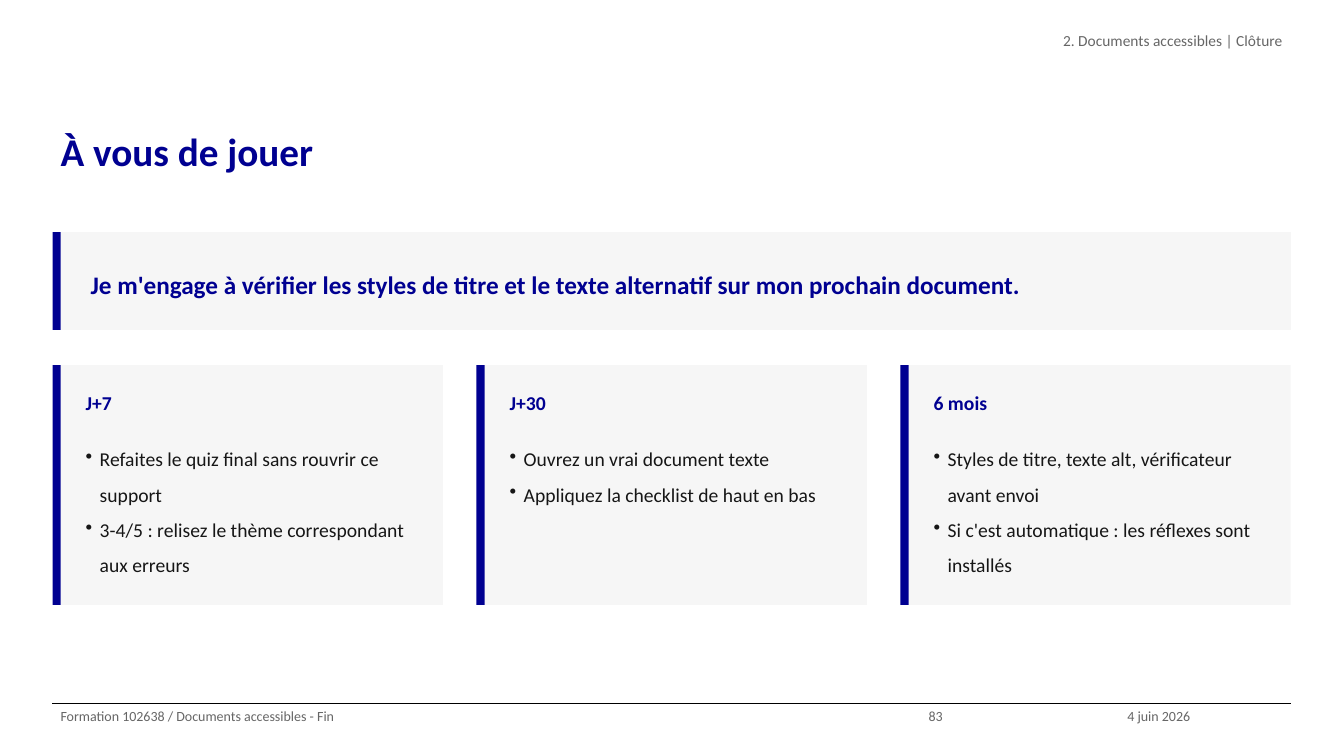
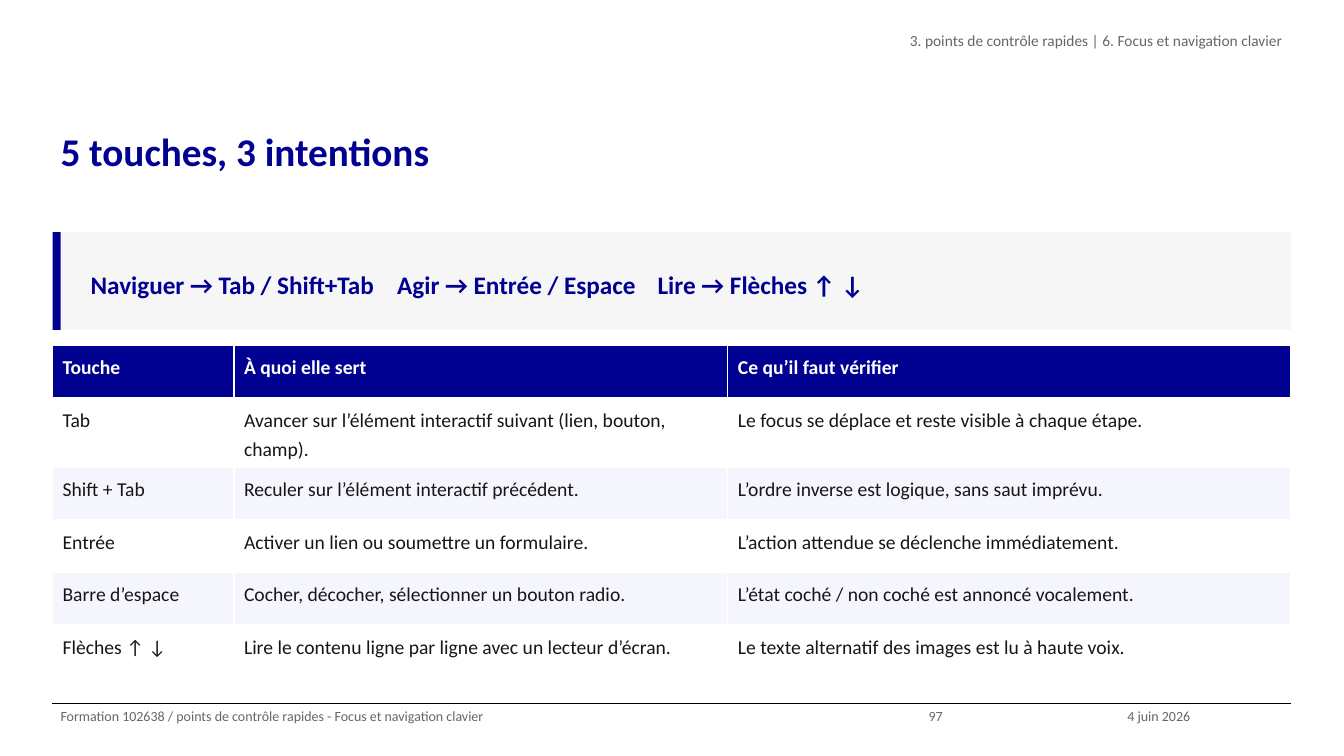
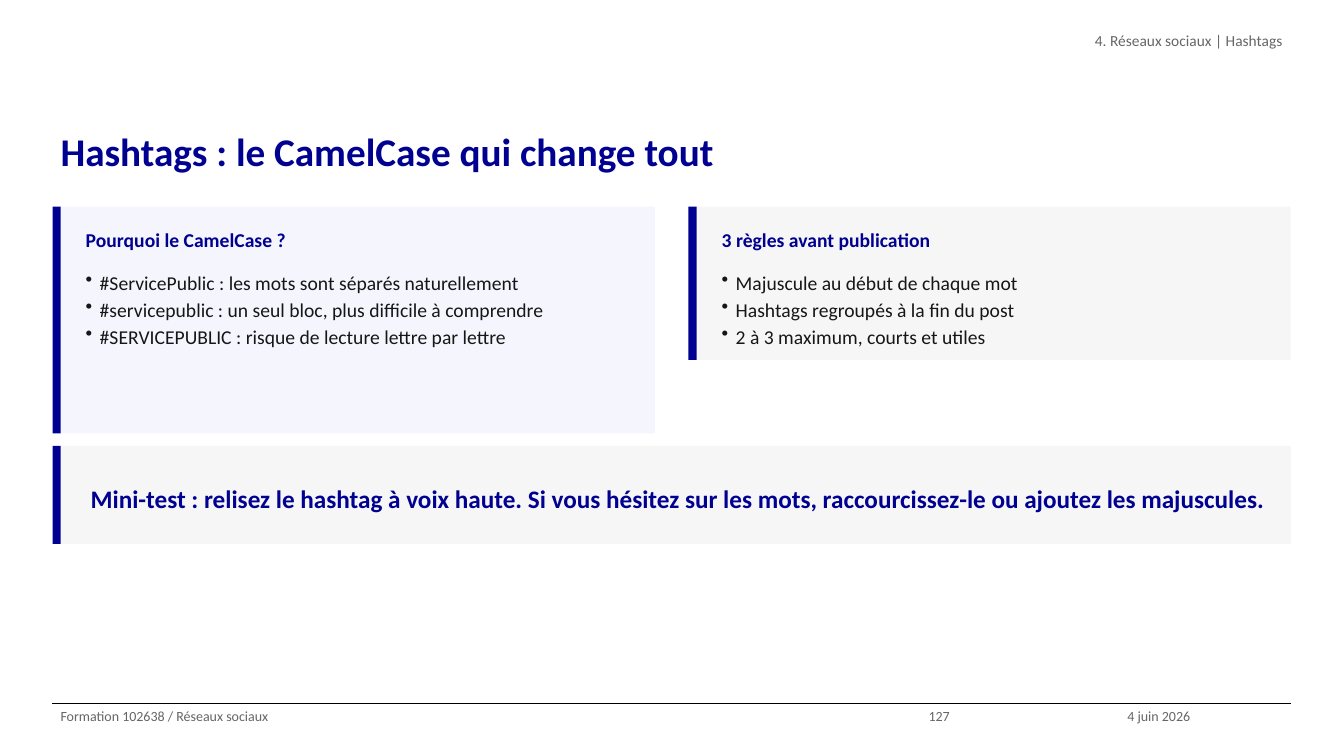
import dataclasses

import pptx
import pptx.dml.color
import pptx.enum.shapes
import pptx.enum.text
import pptx.oxml
import pptx.oxml.ns
import pptx.slide
import pptx.text.text
import pptx.util

RGBColor = pptx.dml.color.RGBColor
Pt = pptx.util.Pt
Align = pptx.enum.text.PP_ALIGN
Anchor = pptx.enum.text.MSO_ANCHOR

# Shared look
BLUE = RGBColor(0x00, 0x00, 0x91)
INK = RGBColor(0x16, 0x16, 0x16)
GREY_TEXT = RGBColor(0x66, 0x66, 0x66)
PALE_GREY = RGBColor(0xF6, 0xF6, 0xF6)
PALE_BLUE = RGBColor(0xF5, 0xF5, 0xFE)
WHITE = RGBColor(0xFF, 0xFF, 0xFF)
BLACK = RGBColor(0x00, 0x00, 0x00)
FONT = "Calibri"

# Shared measures, in points
PAGE_WIDTH, PAGE_HEIGHT = 960, 540
LEFT, CONTENT_WIDTH = 37.5, 884.5
RIGHT = LEFT + CONTENT_WIDTH
FOOTER_TOP, FOOTER_HEIGHT = 502.5, 37.5
BAR_WIDTH = 5.8
CARD_GAP = 24
BANNER_HEIGHT = 70
SIDE_INSET = 5.76
ROW_HEIGHT = 37.44
COLUMN_WIDTHS = (129.6, 352.8, 402.1)
DATE = "4 juin 2026"


@dataclasses.dataclass(frozen=True)
class Box:
    left: float
    top: float
    width: float
    height: float

    def emu(self) -> tuple[int, int, int, int]:
        return Pt(self.left), Pt(self.top), Pt(self.width), Pt(self.height)


@dataclasses.dataclass(frozen=True)
class TextStyle:
    size: float
    color: RGBColor
    bold: bool = False
    spacing: float = 1.25
    align: Align = Align.LEFT
    bulleted: bool = False
    tab_stops: tuple[float, ...] = ()


@dataclasses.dataclass(frozen=True)
class CardLayout:
    top: float
    padding: float
    heading_height: float
    body_offset: float
    body_spacing: float


@dataclasses.dataclass(frozen=True)
class Card:
    heading: str
    points: tuple[str, ...]
    height: float
    fill: RGBColor = PALE_GREY


@dataclasses.dataclass(frozen=True)
class Page:
    title: str
    section: str
    footer: str
    number: str


TITLE = TextStyle(28, BLUE, bold=True)
SECTION = TextStyle(11, GREY_TEXT, align=Align.RIGHT)
FOOTER = TextStyle(10, GREY_TEXT)
BANNER = TextStyle(18, BLUE, bold=True)
HEADING = TextStyle(14, BLUE, bold=True)
TABLE_HEAD = TextStyle(14, WHITE, bold=True)
TABLE_BODY = TextStyle(14, INK)


def add_bullet(paragraph: pptx.text.text._Paragraph) -> None:
    properties = paragraph._p.get_or_add_pPr()
    properties.set("marL", str(Pt(10)))
    properties.set("indent", str(-Pt(10)))
    bullet = pptx.oxml.parse_xml(
        f'<a:buChar {pptx.oxml.ns.nsdecls("a")} char="•"/>')
    properties.append(bullet)


def add_tab_stops(paragraph: pptx.text.text._Paragraph,
                  stops: tuple[float, ...]) -> None:
    tabs = "".join(f'<a:tab pos="{Pt(stop)}" algn="l"/>' for stop in stops)
    paragraph._p.get_or_add_pPr().append(pptx.oxml.parse_xml(
        f'<a:tabLst {pptx.oxml.ns.nsdecls("a")}>{tabs}</a:tabLst>'))


def write(frame: pptx.text.text.TextFrame, lines: tuple[str, ...],
          style: TextStyle) -> None:
    for index, line in enumerate(lines):
        paragraph = frame.add_paragraph() if index else frame.paragraphs[0]
        if style.bulleted:
            add_bullet(paragraph)
        if style.tab_stops:
            add_tab_stops(paragraph, style.tab_stops)
        paragraph.alignment = style.align
        paragraph.line_spacing = style.spacing
        run = paragraph.add_run()
        run.text = line
        run.font.name = FONT
        run.font.size = Pt(style.size)
        run.font.bold = style.bold
        run.font.color.rgb = style.color


def set_frame(frame: pptx.text.text.TextFrame, vertical_inset: float,
              anchor: Anchor) -> None:
    frame.word_wrap = True
    frame.auto_size = pptx.enum.text.MSO_AUTO_SIZE.NONE
    frame.vertical_anchor = anchor
    frame.margin_left = frame.margin_right = Pt(SIDE_INSET)
    frame.margin_top = frame.margin_bottom = Pt(vertical_inset)


def add_text(slide: pptx.slide.Slide, box: Box, lines: tuple[str, ...],
             style: TextStyle, vertical_inset: float = 3.6,
             anchor: Anchor = Anchor.TOP) -> None:
    frame = slide.shapes.add_textbox(*box.emu()).text_frame
    set_frame(frame, vertical_inset, anchor)
    write(frame, lines, style)


def add_rectangle(slide: pptx.slide.Slide, box: Box, fill: RGBColor) -> None:
    rectangle = slide.shapes.add_shape(
        pptx.enum.shapes.MSO_SHAPE.RECTANGLE, *box.emu())
    rectangle.shadow.inherit = False
    rectangle.fill.solid()
    rectangle.fill.fore_color.rgb = fill
    rectangle.line.fill.background()


def add_panel(slide: pptx.slide.Slide, box: Box, fill: RGBColor) -> None:
    """Pale panel with a blue bar along its left side."""
    add_rectangle(slide, Box(box.left + BAR_WIDTH, box.top,
                             box.width - BAR_WIDTH, box.height), fill)
    add_rectangle(slide, Box(box.left, box.top, BAR_WIDTH, box.height), BLUE)


def add_banner(slide: pptx.slide.Slide, top: float, message: str,
               style: TextStyle = BANNER) -> None:
    add_panel(slide, Box(LEFT, top, CONTENT_WIDTH, BANNER_HEIGHT), PALE_GREY)
    add_text(slide, Box(LEFT + 21.5, top + 7, CONTENT_WIDTH - 29,
                        BANNER_HEIGHT - 14),
             (message,), style, anchor=Anchor.MIDDLE)


def add_cards(slide: pptx.slide.Slide, cards: tuple[Card, ...],
              layout: CardLayout) -> None:
    width = (CONTENT_WIDTH - CARD_GAP * (len(cards) - 1)) / len(cards)
    points_style = TextStyle(14, INK, spacing=layout.body_spacing,
                             bulleted=True)
    for index, card in enumerate(cards):
        left = LEFT + index * (width + CARD_GAP)
        add_panel(slide, Box(left, layout.top, width, card.height), card.fill)
        text_left, text_width = left + 18, width - 27
        add_text(slide, Box(text_left, layout.top + layout.padding,
                            text_width, layout.heading_height),
                 (card.heading,), HEADING)
        add_text(slide, Box(text_left, layout.top + layout.body_offset,
                            text_width, card.height - layout.body_offset),
                 card.points, points_style)


def add_key_table(slide: pptx.slide.Slide, top: float,
                  rows: tuple[tuple[str, ...], ...]) -> None:
    box = Box(LEFT, top, CONTENT_WIDTH, ROW_HEIGHT * len(rows))
    table = slide.shapes.add_table(
        len(rows), len(COLUMN_WIDTHS), *box.emu()).table
    for column, width in zip(table.columns, COLUMN_WIDTHS):
        column.width = Pt(width)
    for row_index, row in enumerate(rows):
        table.rows[row_index].height = Pt(ROW_HEIGHT)
        if row_index == 0:
            fill, style = BLUE, TABLE_HEAD
        else:
            fill, style = (WHITE if row_index % 2 else PALE_BLUE), TABLE_BODY
        for column_index, content in enumerate(row):
            cell = table.cell(row_index, column_index)
            cell.fill.solid()
            cell.fill.fore_color.rgb = fill
            write(cell.text_frame, (content,), style)


def add_page(deck: pptx.presentation.Presentation,
             page: Page) -> pptx.slide.Slide:
    """Slide with its title, section label, footer rule and footer."""
    slide = deck.slides.add_slide(deck.slide_layouts[5])

    # Title
    title = slide.shapes.title
    title.left, title.top, title.width, title.height = Box(
        LEFT, 82.8, CONTENT_WIDTH, 75.6).emu()
    set_frame(title.text_frame, 0, Anchor.TOP)
    write(title.text_frame, (page.title,), TITLE)

    # Section label
    add_text(slide, Box(RIGHT - 574.5, 18.8, 574.5, 37.5), (page.section,),
             SECTION, vertical_inset=0)

    # Footer rule
    rule = slide.shapes.add_connector(
        pptx.enum.shapes.MSO_CONNECTOR.STRAIGHT,
        Pt(LEFT), Pt(FOOTER_TOP), Pt(RIGHT), Pt(FOOTER_TOP))
    rule.line.color.rgb = BLACK
    rule.line.width = Pt(0.75)
    rule._element.spPr.append(pptx.oxml.parse_xml(
        f'<a:effectLst {pptx.oxml.ns.nsdecls("a")}/>'))

    # Footer texts, side by side
    left = LEFT
    for content, width in ((page.footer, 620), (page.number, 142),
                           (DATE, 122.5)):
        add_text(slide, Box(left, FOOTER_TOP, width, FOOTER_HEIGHT),
                 (content,), FOOTER, vertical_inset=0)
        left += width
    return slide


def build_commitment(deck: pptx.presentation.Presentation) -> None:
    slide = add_page(deck, Page(
        "À vous de jouer", "2. Documents accessibles | Clôture",
        "Formation 102638 / Documents accessibles - Fin", "83"))
    add_banner(slide, 165.75, "Je m'engage à vérifier les styles de titre et "
               "le texte alternatif sur mon prochain document.")
    height = 171.25
    add_cards(slide, (
        Card("J+7", ("Refaites le quiz final sans rouvrir ce support",
                     "3-4/5 : relisez le thème correspondant aux erreurs"),
             height),
        Card("J+30", ("Ouvrez un vrai document texte",
                      "Appliquez la checklist de haut en bas"), height),
        Card("6 mois",
             ("Styles de titre, texte alt, vérificateur avant envoi",
              "Si c'est automatique : les réflexes sont installés"), height),
    ), CardLayout(top=260.75, padding=10.8, heading_height=32.4,
                  body_offset=46.8, body_spacing=1.5))


def build_keys(deck: pptx.presentation.Presentation) -> None:
    slide = add_page(deck, Page(
        "5 touches, 3 intentions",
        "3. points de contrôle rapides | 6. Focus et navigation clavier",
        "Formation 102638 / points de contrôle rapides - "
        "Focus et navigation clavier", "97"))
    add_banner(slide, 165.75, "Naviguer → Tab / Shift+Tab\t"
               "Agir → Entrée / Espace\tLire → Flèches ↑ ↓",
               dataclasses.replace(BANNER, tab_stops=(219, 405)))
    add_key_table(slide, 246.5, (
        ("Touche", "À quoi elle sert", "Ce qu’il faut vérifier"),
        ("Tab",
         "Avancer sur l’élément interactif suivant (lien, bouton, champ).",
         "Le focus se déplace et reste visible à chaque étape."),
        ("Shift + Tab", "Reculer sur l’élément interactif précédent.",
         "L’ordre inverse est logique, sans saut imprévu."),
        ("Entrée", "Activer un lien ou soumettre un formulaire.",
         "L’action attendue se déclenche immédiatement."),
        ("Barre d’espace", "Cocher, décocher, sélectionner un bouton radio.",
         "L’état coché / non coché est annoncé vocalement."),
        ("Flèches ↑ ↓",
         "Lire le contenu ligne par ligne avec un lecteur d’écran.",
         "Le texte alternatif des images est lu à haute voix."),
    ))


def build_hashtags(deck: pptx.presentation.Presentation) -> None:
    slide = add_page(deck, Page(
        "Hashtags : le CamelCase qui change tout",
        "4. Réseaux sociaux | Hashtags",
        "Formation 102638 / Réseaux sociaux", "127"))
    add_cards(slide, (
        Card("Pourquoi le CamelCase ?",
             ("#ServicePublic : les mots sont séparés naturellement",
              "#servicepublic : un seul bloc, plus difficile à comprendre",
              "#SERVICEPUBLIC : risque de lecture lettre par lettre"),
             162, PALE_BLUE),
        Card("3 règles avant publication",
             ("Majuscule au début de chaque mot",
              "Hashtags regroupés à la fin du post",
              "2 à 3 maximum, courts et utiles"), 109.5),
    ), CardLayout(top=147.6, padding=7.2, heading_height=25.2,
                  body_offset=39.6, body_spacing=1.15))
    add_banner(slide, 318.5, "Mini-test : relisez le hashtag à voix haute. "
               "Si vous hésitez sur les mots, raccourcissez-le ou ajoutez "
               "les majuscules.")


def main() -> None:
    deck = pptx.Presentation()
    deck.slide_width, deck.slide_height = Pt(PAGE_WIDTH), Pt(PAGE_HEIGHT)
    build_commitment(deck)
    build_keys(deck)
    build_hashtags(deck)
    deck.save("out.pptx")


if __name__ == "__main__":
    main()
